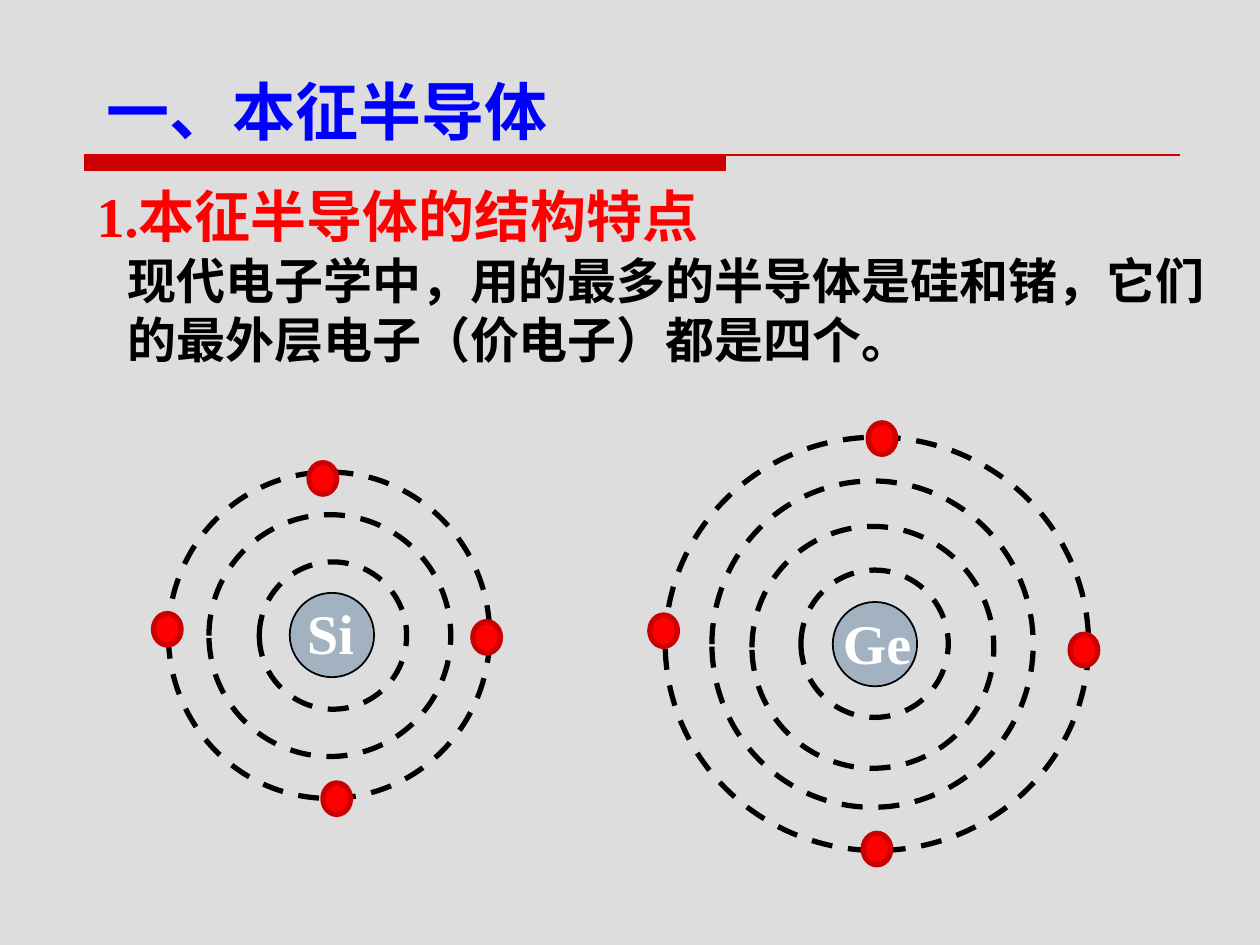
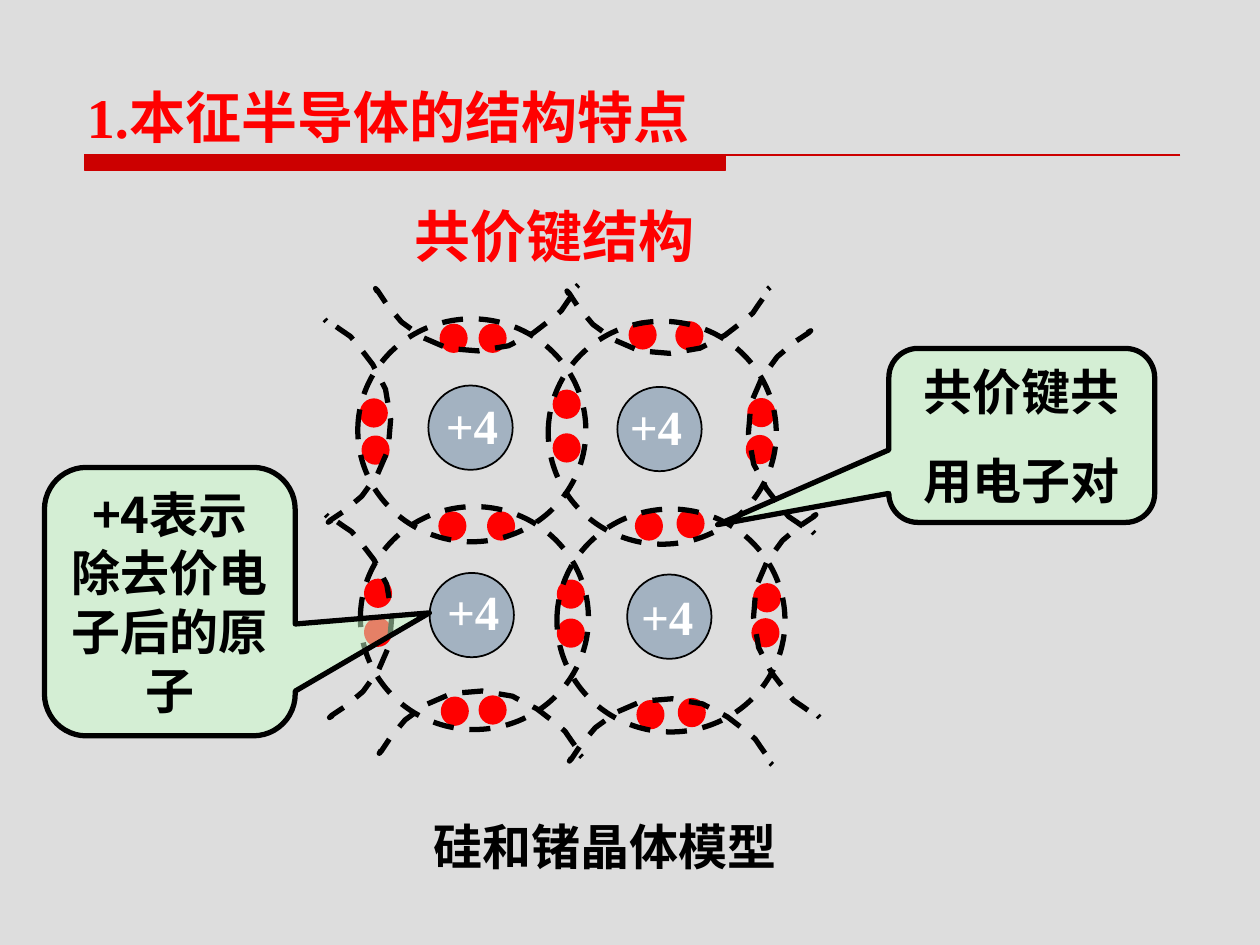
from lxml.etree import SubElement
from pptx import Presentation
from pptx.dml.color import RGBColor
from pptx.enum.dml import MSO_LINE
from pptx.enum.shapes import MSO_SHAPE as Kind
from pptx.enum.text import MSO_ANCHOR as Anchor, MSO_AUTO_SIZE as Fit, PP_ALIGN as Align
from pptx.oxml.ns import qn
from pptx.util import Pt

BLACK, WHITE, RED, DEEP = "000000", "FFFFFF", "FF0000", "CC0000"
BLUE, STEEL, MINT, GREY = "0000FF", "A3B2C1", "CCFFCC", "DDDDDD"
SERIF, SANS = "Times New Roman", "Noto Sans CJK SC"
TOPIC = "1.本征半导体的结构特点"
ION = 48.2

# Bond curve opening to the right, around its own centre: start, then Bezier triples
BOND = [
    (15.8, -56.5),
    (13, -54.4), (3.6, -49.3), (-2.2, -42.8),
    (-7.9, -35.6), (-15.1, -26.3), (-17.3, -16.2),
    (-20.2, -6.1), (-18.7, 8.3), (-15.8, 18.4),
    (-13, 28.4), (-4.3, 37.8), (0, 43.6),
    (3.6, 48.6), (5, 49.3), (8.6, 51.5),
    (11.5, 54.4), (16.6, 56.5), (18, 57.2),
]
HEAD = [(15.1, -56.5), (16.9, -57.6)]
TAIL = [(19.4, 58.7), (18, 57.2)]
TURNS = {
    "right": lambda x, y: (x, y),
    "left": lambda x, y: (-x, -y),
    "top": lambda x, y: (y, -x),
    "bottom": lambda x, y: (y, x),
}


def color(hexa):
    return RGBColor.from_string(hexa)


def paint(shape, fill=None, line=None, width=3, dash=False):
    shape.shadow.inherit = False
    if fill:
        shape.fill.solid()
        shape.fill.fore_color.rgb = color(fill)
    else:
        shape.fill.background()
    shape.line.color.rgb = color(line)
    shape.line.width = Pt(width)
    if dash:
        shape.line.dash_style = MSO_LINE.DASH


def write(shape, text, size, tint, face=SERIF, align=Align.LEFT,
          anchor=Anchor.TOP, gap=0):
    """Fill a shape with bold text; gap is the space between paragraphs."""
    frame = shape.text_frame
    frame.text = text
    frame.word_wrap = True
    frame.auto_size = Fit.NONE
    frame.vertical_anchor = anchor
    for i, para in enumerate(frame.paragraphs):
        para.alignment = align
        para.line_spacing = Pt(1.2 * size)
        para.space_before = Pt(gap if i else 0)
        for run in para.runs:
            font = run.font
            font.name, font.size, font.bold = face, Pt(size), True
            font.color.rgb = color(tint)
            SubElement(font._element, qn("a:ea")).set("typeface", SANS)


def label(slide, box, text, size, tint, face=SERIF):
    write(slide.shapes.add_textbox(*map(Pt, box)), text, size, tint, face)


def oval(slide, x, y, w, h, **look):
    """Ellipse around the centre x, y."""
    shape = slide.shapes.add_shape(
        Kind.OVAL, Pt(x - w / 2), Pt(y - h / 2), Pt(w), Pt(h))
    paint(shape, **look)


def ring(slide, x, y, w, h):
    oval(slide, x, y, w, h, line=BLACK, dash=True)


def ion(slide, x, y):
    oval(slide, x, y, ION, ION, fill=STEEL, line=BLACK, width=1)


def atom(slide, name, box, core, rings, dots):
    ion(slide, *core)
    for spot in rings:
        ring(slide, *spot)
    label(slide, box, name, 32, WHITE)
    for x, y in dots:
        oval(slide, x, y, 15.8, 18, fill=RED, line=DEEP)


def curve(nodes, steps=2):
    """Points along a chain of cubic Bezier pieces."""
    points = [nodes[0]]
    for i in range(0, len(nodes) - 1, 3):
        piece = nodes[i:i + 4]
        for k in range(1, steps + 1):
            t = k / steps
            u = 1 - t
            mix = (u ** 3, 3 * u * u * t, 3 * u * t * t, t ** 3)
            points.append(tuple(
                sum(m * node[axis] for m, node in zip(mix, piece))
                for axis in (0, 1)))
    return points


def bond(slide, side, x, y):
    turn = TURNS[side]
    points = []
    for node in HEAD + curve(BOND) + TAIL:
        dx, dy = turn(*node)
        points.append((Pt(x + dx), Pt(y + dy)))
    pen = slide.shapes.build_freeform(*points[0])
    pen.add_line_segments(points[1:], close=False)
    paint(pen.convert_to_shape(), line=BLACK, dash=True)


def callout(slide, box, tip, text, face):
    shape = slide.shapes.add_shape(Kind.ROUNDED_RECTANGULAR_CALLOUT, *map(Pt, box))
    for i, value in enumerate((*tip, 0.167)):
        shape.adjustments[i] = value
    paint(shape, fill=MINT, line=BLACK)
    tone = shape.fill._xPr.find(qn("a:solidFill"))[0]
    SubElement(tone, qn("a:alpha")).set("val", "50000")
    write(shape, text, 28, BLACK, face, Align.CENTER, Anchor.MIDDLE, gap=17.5)


def band(slide, master):
    """Draw the red band and hand it to the master, for all slides."""
    left, top, mid, low, right = map(Pt, (48.2, 88.6, 414.7, 97.2, 674.6))
    pen = slide.shapes.build_freeform(left, top)
    pen.add_line_segments([(mid, top), (mid, low), (left, low)], close=True)
    pen.move_to(left, top)
    pen.add_line_segments([(right, top)], close=False)
    bar = pen.convert_to_shape()
    paint(bar, fill=DEEP, line=DEEP, width=0.75)
    master.shapes._spTree.append(bar._element)


def start(prs, box, text, size, tint, face):
    """New slide with its title."""
    slide = prs.slides.add_slide(prs.slide_layouts[5])
    title = slide.shapes.title
    title.left, title.top, title.width, title.height = map(Pt, box)
    write(title, text, size, tint, face)
    return slide


def atoms(prs):
    slide = start(prs, (53.6, 37.9, 504.7, 50.4), "一、本征半导体", 36, BLUE, SANS)
    band(slide, prs.slide_master)
    label(slide, (48.2, 100, 459.4, 46), TOPIC, 32, RED)
    atom(slide, "Ge", (474.5, 344, 61.2, 46), (500, 368.1),
         [(498.8, 369.9, 138.2, 138.2), (498.6, 368.1, 183.6, 186.5),
          (501.1, 367.9, 241.9, 236.2), (499.8, 367.9, 84.2, 84.2)],
         [(619.4, 371.4), (379.2, 360.4), (504, 250.6), (501.1, 485.2)])
    atom(slide, "Si", (168.5, 338.2, 55.4, 46), (189.7, 362.9),
         [(190.3, 363.2, 84.2, 84.2), (188.5, 363.2, 138.2, 138.2),
          (188, 363, 183.6, 186.5)],
         [(95.6, 359.6), (192.4, 456.4), (278.1, 364.2), (184.5, 273.4)])
    label(slide, (65.8, 139.7, 653.8, 74.9),
          "现代电子学中，用的最多的半导体是硅和锗，它们的最外层电子（价电子）都是四个。",
          28, BLACK)


def lattice(prs):
    slide = start(prs, (42.5, 43.6, 459.4, 46), TOPIC, 32, RED, SERIF)
    label(slide, (229.7, 111.6, 336.2, 46), "共价键结构", 32, RED)
    callout(slide, (507.9, 199.1, 151.9, 99.4), (-1.144, 0.513),
            "共价键共\n用电子对", SERIF)
    cells = [
        ((268.9, 244.4), (269.6, 245.9)), ((376.9, 245.2), (378.4, 247.3)),
        ((269.6, 351.5), (271.1, 353.2)), ((382.5, 352.4), (383.4, 354.6)),
    ]
    names = [(247.7, 222.5), (352.8, 223.2), (248.4, 329), (359.3, 331.7)]
    pairs = [
        (259.2, 193.3), (281.5, 193.3), (367.2, 191.4), (393.9, 191.9),
        (213.6, 236), (214.6, 257.2), (323.8, 231), (323.8, 256),
        (435, 235.8), (434.2, 256.9), (258.5, 300.6), (286.3, 300.6),
        (370.8, 300.6), (394.6, 299.2), (216, 339), (216, 361.3),
        (326.2, 339.5), (326.2, 361.8), (438.3, 341.6), (437.4, 361.6),
        (259.9, 406.4), (281.5, 405.7), (371.7, 408.4), (395.3, 407.2),
    ]
    bonds = {
        "right": [(446.4, 246.6), (449.3, 351.7)],
        "top": [(272.2, 181.8), (381.6, 183.2)],
        "bottom": [(274.3, 413.6), (383, 418)],
        "left": [(204.5, 240.8), (205.2, 352.4)],
    }
    for x, y in pairs:
        oval(slide, x, y, 13, 13.7, fill=RED, line=RED)
    for core, shell in cells:
        ion(slide, *core)
        ring(slide, *shell, 130.3, 127.4)
    for side, spots in bonds.items():
        for spot in spots:
            bond(slide, side, *spot)
    for spot in names:
        label(slide, (*spot, 55.4, 41), "+4", 28, WHITE)
    callout(slide, (25.4, 267.1, 143.3, 153.4), (1.035, 0.042),
            "+4表示除去价电子后的原子", SANS)
    label(slide, (240.8, 463, 221, 41), "硅和锗晶体模型", 28, BLACK, SANS)


def main():
    prs = Presentation()
    prs.slide_width, prs.slide_height = Pt(720), Pt(540)
    back = prs.slide_master.background.fill
    back.solid()
    back.fore_color.rgb = color(GREY)
    atoms(prs)
    lattice(prs)
    prs.save("out.pptx")


if __name__ == "__main__":
    main()
